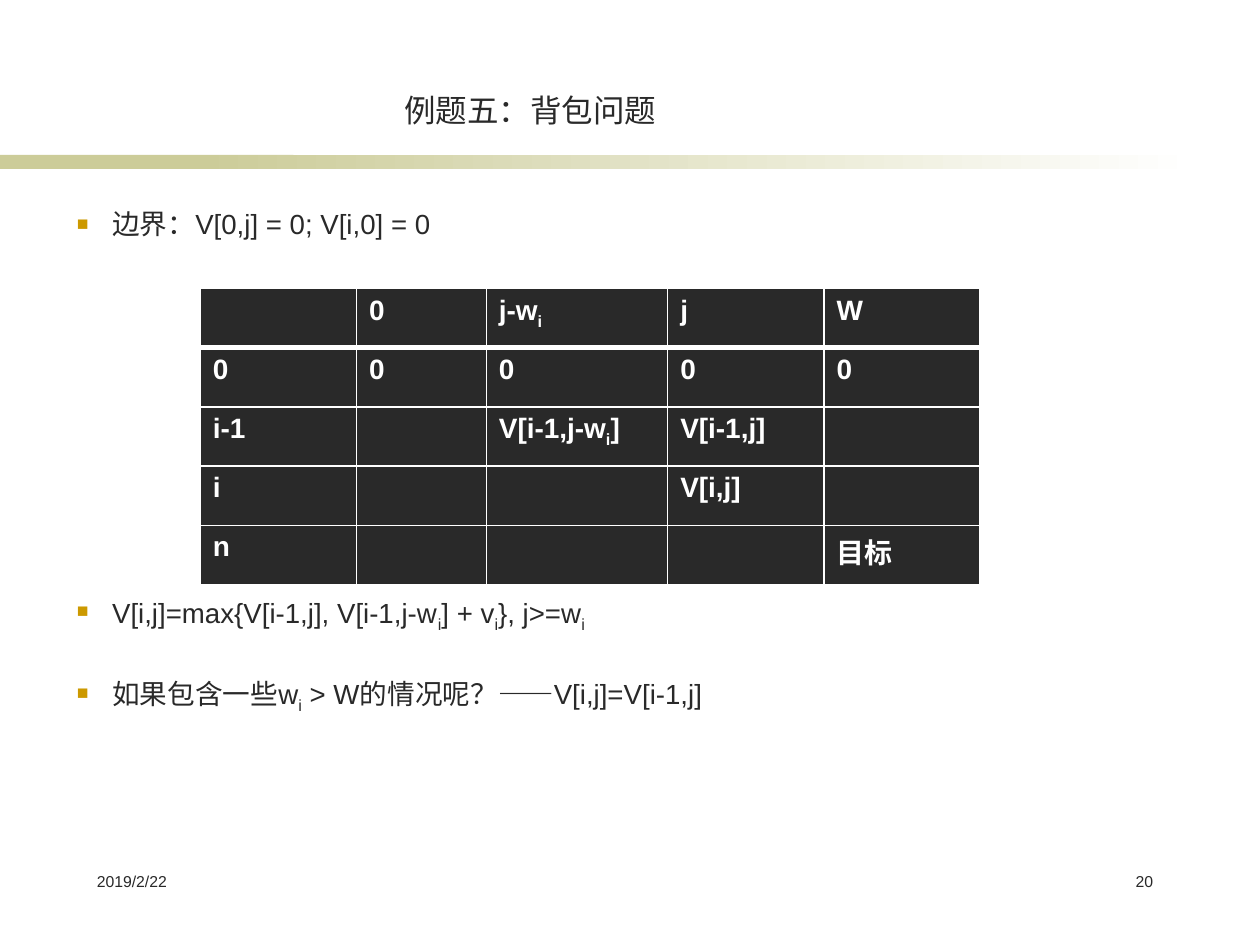
from lxml.etree import SubElement
from pptx import Presentation
from pptx.dml.color import RGBColor
from pptx.enum.shapes import MSO_SHAPE
from pptx.enum.text import MSO_ANCHOR, MSO_AUTO_SIZE, PP_ALIGN
from pptx.oxml.ns import qn
from pptx.util import Inches, Pt

INK = RGBColor(0x29, 0x29, 0x29)
WHITE = RGBColor(0xFF, 0xFF, 0xFF)
SAGE = RGBColor(0xCC, 0xCC, 0x99)
GOLD = RGBColor(0xCC, 0x99, 0x00)
FONT = "Arial"

TITLE = "例题五：背包问题"
POINTS = [
    ("边界：V[0,j] = 0; V[i,0] = 0", 0),
    ("V[i,j]=max{V[i-1,j], V[i-1,j-w_i] + v_i}, j>=w_i", 203.5),
    ("如果包含一些w_i > W的情况呢？——V[i,j]=V[i-1,j]", 27),
]
STATES = [
    ["", "0", "j-w_i", "j", "W"],
    ["0", "0", "0", "0", "0"],
    ["i-1", "", "V[i-1,j-w_i]", "V[i-1,j]", ""],
    ["i", "", "", "V[i,j]", ""],
    ["n", "", "", "", "目标"],
]
COLUMN_WIDTHS = [1.24, 1.03, 1.44, 1.24, 1.24]
ROW_HEIGHT = 0.47
FOOTERS = [
    ("2019/2/22", 0.67, 1.41, PP_ALIGN.LEFT),
    ("20", 8.23, 1.02, PP_ALIGN.RIGHT),
]


def box(left, top, width, height):
    return [Inches(value) for value in (left, top, width, height)]


def place(shape, *bounds):
    shape.left, shape.top, shape.width, shape.height = box(*bounds)


def write(paragraph, text, size, color=INK, bold=False):
    first, *marked = text.split("_")
    pieces = [(first, False)]
    for part in marked:
        pieces += [(part[0], True), (part[1:], False)]
    for piece, subscript in pieces:
        if not piece:
            continue
        run = paragraph.add_run()
        run.text = piece
        run.font.name = FONT
        run.font.size = Pt(size)
        run.font.bold = bold
        run.font.color.rgb = color
        if subscript:
            run.font._element.set("baseline", "-25000")


def add_bullet(paragraph):
    properties = paragraph._p.get_or_add_pPr()
    properties.set("marL", str(Inches(0.28)))
    properties.set("indent", str(-Inches(0.28)))
    color = SubElement(properties, qn("a:buClr"))
    SubElement(color, qn("a:srgbClr"), val=str(GOLD))
    SubElement(properties, qn("a:buSzPct"), val="70000")
    SubElement(properties, qn("a:buFont"), typeface=FONT)
    SubElement(properties, qn("a:buChar"), char="■")


def add_borders(cell, widths):
    properties = cell._tc.get_or_add_tcPr()
    for side, width in widths.items():
        line = SubElement(properties, qn(f"a:ln{side}"), w=str(Pt(width)))
        fill = SubElement(line, qn("a:solidFill"))
        SubElement(fill, qn("a:srgbClr"), val=str(WHITE))


def add_bar(slide, *bounds):
    bar = slide.shapes.add_shape(MSO_SHAPE.RECTANGLE, *box(*bounds))
    bar.shadow.inherit = False
    bar.line.fill.background()
    return bar


def add_rule(slide):
    solid = add_bar(slide, 0, 1.23, 2.33, 0.11)
    solid.fill.solid()
    solid.fill.fore_color.rgb = SAGE
    fade = add_bar(slide, 1.58, 1.23, 7.92, 0.11)
    fade.fill.gradient()
    fade.fill.gradient_angle = 0
    for stop, color in zip(fade.fill.gradient_stops, (SAGE, WHITE)):
        stop.color.rgb = color


def add_text(slide):
    title, body = slide.placeholders
    place(title, 1.14, 0.44, 6.14, 0.63)
    title.text_frame.vertical_anchor = MSO_ANCHOR.BOTTOM
    title.text_frame.auto_size = MSO_AUTO_SIZE.NONE
    heading = title.text_frame.paragraphs[0]
    heading.alignment = PP_ALIGN.CENTER
    write(heading, TITLE, 18)

    place(body, 0.51, 1.62, 8.9, 4.8)
    frame = body.text_frame
    frame.auto_size = MSO_AUTO_SIZE.NONE
    for index, (text, gap) in enumerate(POINTS):
        point = frame.add_paragraph() if index else frame.paragraphs[0]
        point.line_spacing = 0.9
        point.space_before = Pt(gap)
        add_bullet(point)
        write(point, text, 15.8)


def add_states(slide):
    bounds = box(1.59, 2.29, sum(COLUMN_WIDTHS), ROW_HEIGHT * len(STATES))
    table = slide.shapes.add_table(len(STATES), len(COLUMN_WIDTHS), *bounds).table
    for column, width in zip(table.columns, COLUMN_WIDTHS):
        column.width = Inches(width)
    for r, states in enumerate(STATES):
        table.rows[r].height = Inches(ROW_HEIGHT)
        for c, text in enumerate(states):
            cell = table.cell(r, c)
            add_borders(cell, {"L": 1, "R": 1, "T": 3 if r == 1 else 1, "B": 3 if r == 0 else 1})
            cell.fill.solid()
            cell.fill.fore_color.rgb = INK
            write(cell.text_frame.paragraphs[0], text, 16, WHITE, True)


def add_footers(slide):
    for text, left, width, alignment in FOOTERS:
        frame = slide.shapes.add_textbox(*box(left, 6.87, width, 0.5)).text_frame
        frame.word_wrap = True
        frame.paragraphs[0].alignment = alignment
        write(frame.paragraphs[0], text, 9)


def main():
    deck = Presentation()
    deck.slide_width, deck.slide_height = Inches(10), Inches(7.5)
    slide = deck.slides.add_slide(deck.slide_layouts[1])
    add_rule(slide)
    add_text(slide)
    add_states(slide)
    add_footers(slide)
    deck.save("out.pptx")


if __name__ == "__main__":
    main()
